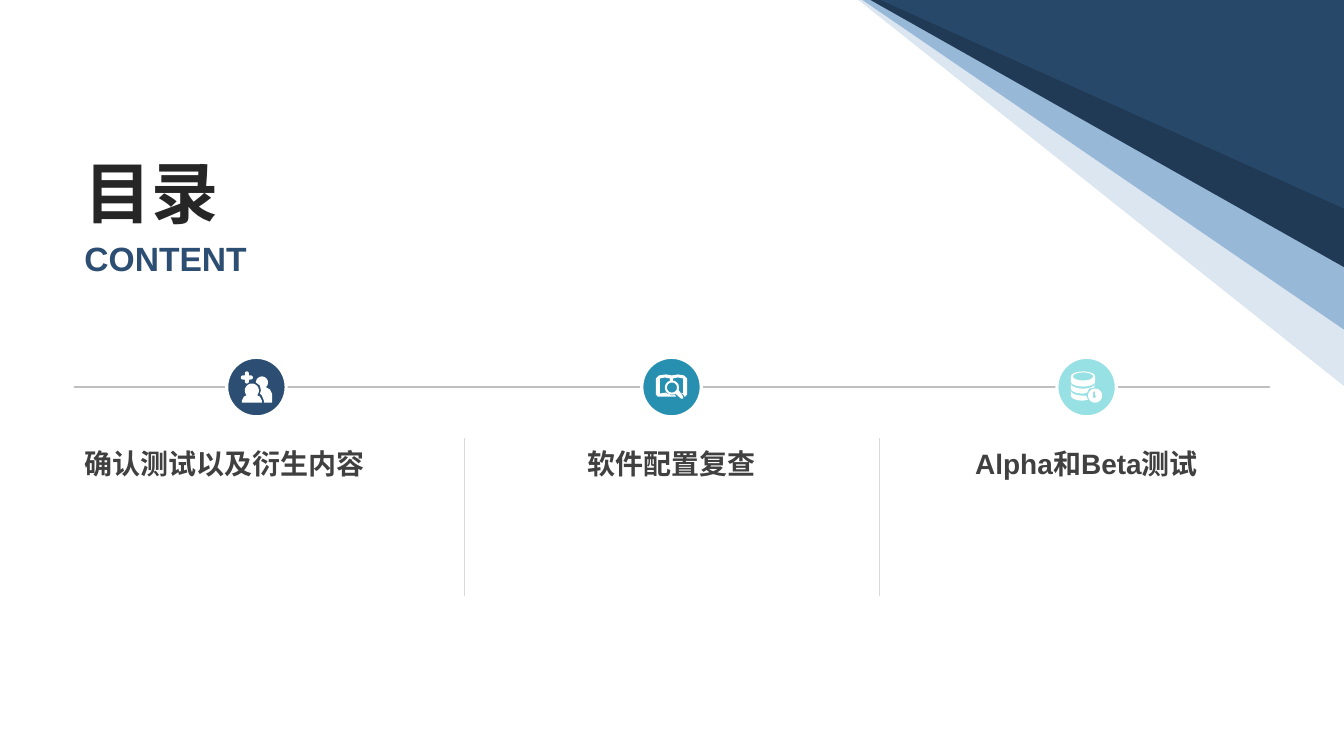
from dataclasses import dataclass
from math import cos, radians, sin

from lxml import etree
from pptx import Presentation
from pptx.dml.color import RGBColor
from pptx.enum.shapes import MSO_CONNECTOR, MSO_SHAPE
from pptx.enum.text import MSO_ANCHOR, PP_ALIGN
from pptx.oxml.ns import qn
from pptx.util import Inches, Pt

STRAIGHT = MSO_CONNECTOR.STRAIGHT
OVAL = MSO_SHAPE.OVAL
LEFT, CENTER = PP_ALIGN.LEFT, PP_ALIGN.CENTER
TOP, MIDDLE, BOTTOM = MSO_ANCHOR.TOP, MSO_ANCHOR.MIDDLE, MSO_ANCHOR.BOTTOM


@dataclass(frozen=True)
class Theme:
    font: str = "Arial"
    white: str = "FFFFFF"
    navy: str = "2B4E72"
    teal: str = "2790B0"
    aqua: str = "97E0E4"
    sky: str = "98B8D8"
    midnight: str = "203A56"
    title: str = "262626"
    label: str = "404040"
    timeline: str = "BFBFBF"
    divider: str = "D9D9D9"
    title_size: int = 48
    subtitle_size: int = 24
    label_size: int = 20


THEME = Theme()


def rgb(color):
    return RGBColor.from_string(color)


def paint(shape, fill, line=None, width=0):
    shape.shadow.inherit = False
    shape.fill.solid()
    shape.fill.fore_color.rgb = rgb(fill)
    if line:
        shape.line.color.rgb = rgb(line)
        shape.line.width = Pt(width)
    else:
        shape.line.fill.background()


def add_line(slide, start, end, color, width, cap="flat"):
    connector = slide.shapes.add_connector(STRAIGHT, *map(Inches, (*start, *end)))
    connector.line.color.rgb = rgb(color)
    connector.line.width = Pt(width)
    properties = connector._element.spPr
    properties.find(qn("a:ln")).set("cap", cap)
    etree.SubElement(properties, qn("a:effectLst"))


def add_text(slide, box, text, size, color, anchor, align=LEFT, bottom=0):
    frame = slide.shapes.add_textbox(*map(Inches, box)).text_frame
    frame_format = {
        "word_wrap": True,
        "vertical_anchor": anchor,
        "margin_left": Inches(0.1),
        "margin_right": Inches(0.1),
        "margin_top": Inches(0.05),
        "margin_bottom": Inches(bottom),
    }
    for name, value in frame_format.items():
        setattr(frame, name, value)
    paragraph = frame.paragraphs[0]
    paragraph.alignment = align
    run = paragraph.add_run()
    run.text = text
    for name, value in {"name": THEME.font, "size": Pt(size), "bold": True}.items():
        setattr(run.font, name, value)
    run.font.color.rgb = rgb(color)


def add_outline(slide, left, top, contours, color):
    placed = [[(Inches(left + x), Inches(top + y)) for x, y in contour] for contour in contours]
    builder = slide.shapes.build_freeform(*placed[0][0])
    for index, points in enumerate(placed):
        if index:
            builder.move_to(*points[0])
        builder.add_line_segments(points[1:])
    shape = builder.convert_to_shape()
    paint(shape, color)
    return shape


def arc(x, y, radius_x, radius_y, start=0, end=360):
    angles = [radians(start + (end - start) * step / 24) for step in range(25)]
    return [(x + radius_x * cos(angle), y + radius_y * sin(angle)) for angle in angles]


def people_contours():
    front = [(0.01, 0.31), (0.01, 0.29), (0.03, 0.25), (0.07, 0.23),
             *arc(0.11, 0.19, 0.07, 0.07, 140, 400),
             (0.15, 0.23), (0.19, 0.25), (0.21, 0.29), (0.21, 0.31)]
    back = [*arc(0.21, 0.11, 0.06, 0.06, 180, 410),
            (0.29, 0.18), (0.31, 0.22), (0.31, 0.31), (0.23, 0.31), (0.23, 0.29),
            (0.21, 0.24), (0.19, 0.22), (0.2, 0.19), (0.19, 0.14)]
    plus = [*arc(0.06, 0.02, 0.02, 0.02, 180, 360), (0.08, 0.04),
            *arc(0.1, 0.06, 0.02, 0.02, 270, 450), (0.08, 0.08),
            *arc(0.06, 0.1, 0.02, 0.02, 0, 180), (0.04, 0.08),
            *arc(0.02, 0.06, 0.02, 0.02, 90, 270), (0.04, 0.04)]
    return front, back, plus


def book_contours():
    lens = arc(0.16, 0.13, 0.05, 0.05)
    magnifier = [*arc(0.16, 0.13, 0.07, 0.07, 60, 380),
                 (0.27, 0.22), (0.27, 0.24), (0.25, 0.24)]
    pages = [(0.1, 0), (0.16, 0.01), (0.22, 0), (0.28, 0.01), (0.29, 0.02), (0.31, 0.04),
             (0.31, 0.2), (0.29, 0.22), (0.28, 0.22), (0.28, 0.21), (0.25, 0.18),
             (0.27, 0.19), (0.27, 0.04), (0.22, 0.03), (0.17, 0.04), (0.17, 0.06),
             (0.14, 0.06), (0.14, 0.04), (0.09, 0.03), (0.04, 0.04), (0.04, 0.19),
             (0.1, 0.18), (0.11, 0.19), (0.16, 0.21), (0.19, 0.2), (0.2, 0.22),
             (0.02, 0.22), (0, 0.2), (0, 0.04), (0.02, 0.02), (0.03, 0.01)]
    return lens, magnifier, pages


def database_contours():
    lid = arc(0.12, 0.05, 0.1, 0.04)
    upper = [*arc(0.12, 0.05, 0.12, 0.05, 180, 360), *arc(0.12, 0.1, 0.12, 0.05, 0, 180)]
    middle = [*arc(0.12, 0.12, 0.12, 0.05, 180, 0), (0.23, 0.16), (0.18, 0.17), (0.16, 0.21),
              *arc(0.12, 0.17, 0.12, 0.05, 90, 180)]
    lower = [*arc(0.12, 0.19, 0.12, 0.05, 180, 90), (0.15, 0.24), (0.17, 0.28),
             *arc(0.12, 0.24, 0.12, 0.05, 90, 180)]
    badge = arc(0.24, 0.24, 0.07, 0.07)
    arrow = [(0.22, 0.2), (0.22, 0.24), (0.21, 0.24), (0.23, 0.27), (0.26, 0.24),
             (0.24, 0.24), (0.24, 0.2)]
    return lid, upper, middle, lower, badge, arrow


def add_heading(slide, left, top):
    add_text(slide, (left, top, 2.46, 1.12), "目录", THEME.title_size, THEME.title, BOTTOM)
    add_text(slide, (left, top + 1.13, 2.1, 0.57), "CONTENT", THEME.subtitle_size,
             THEME.navy, TOP, bottom=0.05)


def add_timeline(slide, left, top, width):
    column, pitch, disc = 3.61, 4.12, 0.59
    entries = (
        ("确认测试以及衍生内容", THEME.navy, LEFT, people_contours(), 0.14),
        ("软件配置复查", THEME.teal, CENTER, book_contours(), 0.17),
        ("Alpha和Beta测试", THEME.aqua, CENTER, database_contours(), 0.14),
    )
    add_line(slide, (left, top), (left + width, top), THEME.timeline, 1.5, "rnd")
    for index, (label, color, align, contours, inset) in enumerate(entries):
        x = left + index * pitch
        disc_left, disc_top = x + (column - disc) / 2, top - disc / 2
        circle = slide.shapes.add_shape(OVAL, *map(Inches, (disc_left, disc_top, disc, disc)))
        paint(circle, color, THEME.white, 2.25)
        add_outline(slide, disc_left + 0.14, disc_top + inset, contours, THEME.white)
        add_text(slide, (x, top + 0.51, column, 0.45), label, THEME.label_size,
                 THEME.label, MIDDLE, align)
        if index:
            divider = x - (pitch - column) / 2
            add_line(slide, (divider, top + 0.51), (divider, top + 2.07), THEME.divider, 0.25)


def add_corner(slide, right):
    wedges = (
        (4.82, 3.83, THEME.sky, 34),
        (4.78, 3.27, THEME.sky, 100),
        (4.7, 2.65, THEME.midnight, 100),
        (4.6, 2.07, THEME.navy, 71),
    )
    for width, height, color, opacity in wedges:
        triangle = [(-width, 0), (0, 0), (0, height)]
        wedge = add_outline(slide, right, 0, [triangle], color)
        if opacity < 100:
            tint = wedge._element.spPr.find(qn("a:solidFill"))[0]
            etree.SubElement(tint, qn("a:alpha"), val=str(opacity * 1000))


def main():
    presentation = Presentation()
    presentation.slide_width = Inches(13.34)
    presentation.slide_height = Inches(7.5)
    slide = presentation.slides.add_slide(presentation.slide_layouts[6])
    add_timeline(slide, 0.74, 3.84, 11.86)
    add_corner(slide, 13.34)
    add_heading(slide, 0.74, 1.18)
    presentation.save("out.pptx")


if __name__ == "__main__":
    main()
